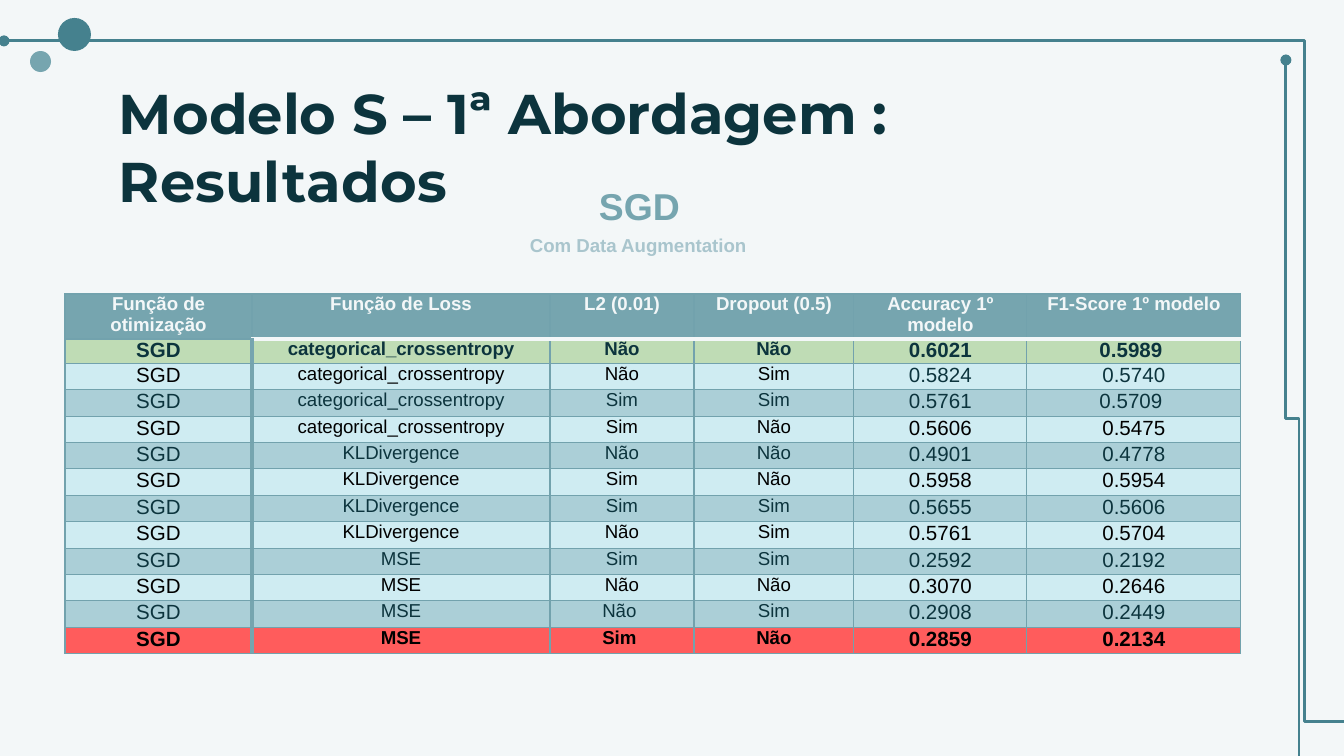
"""Build the results slide of model S trained with SGD and data augmentation."""
from dataclasses import dataclass

from lxml import etree
from pptx import Presentation
from pptx.dml.color import RGBColor
from pptx.enum.shapes import MSO_CONNECTOR, MSO_SHAPE
from pptx.enum.text import PP_ALIGN
from pptx.oxml.ns import qn
from pptx.util import Emu, Pt

ELBOW = MSO_CONNECTOR.ELBOW
OVAL = MSO_SHAPE.OVAL
CENTER = PP_ALIGN.CENTER
EMU_PER_PX = 914400 / 134.4

HEADERS = ["Função de otimização", "Função de Loss", "L2 (0.01)",
           "Dropout (0.5)", "Accuracy 1º modelo", "F1-Score 1º modelo"]
RESULTS = [
    ("categorical_crossentropy", "Não", "Não", "0.6021", "0.5989 "),
    ("categorical_crossentropy", "Não", "Sim", "0.5824", "0.5740"),
    ("categorical_crossentropy", "Sim", "Sim", "0.5761", "0.5709 "),
    ("categorical_crossentropy", "Sim", "Não", "0.5606", "0.5475"),
    ("KLDivergence", "Não", "Não", "0.4901", "0.4778"),
    ("KLDivergence", "Sim", "Não", "0.5958", "0.5954"),
    ("KLDivergence", "Sim", "Sim", "0.5655", "0.5606"),
    ("KLDivergence", "Não", "Sim", "0.5761", "0.5704"),
    ("MSE", "Sim", "Sim", "0.2592", "0.2192"),
    ("MSE", "Não", "Não", "0.3070", "0.2646"),
    ("MSE", "Não ", "Sim", "0.2908", "0.2449"),
    ("MSE", "Sim ", "Não", "0.2859", "0.2134"),
]
COLUMN_WIDTHS = [187, 298, 144, 160, 173, 214]
HEADER_HEIGHT, BEST_HEIGHT, BODY_HEIGHT = 45, 24, 290
VALUE_COLUMNS = (4, 5)


@dataclass(frozen=True)
class Theme:
    background: str = "F3F7F8"
    dark: str = "0C343D"
    line: str = "45818E"
    accent: str = "76A5AF"
    muted: str = "A9C5CD"
    border: str = "72A2AD"
    light_row: str = "CFECF2"
    dark_row: str = "ABCFD7"
    best: str = "BFDCB5"
    worst: str = "FF5C5C"
    black: str = "000000"
    heading_font: str = "Montserrat"
    body_font: str = "Arial"
    title_size: int = 30
    subtitle_size: int = 20
    value_size: int = 11
    label_size: int = 10


def px(length):
    return Emu(round(length * EMU_PER_PX))


def rgb(color):
    return RGBColor.from_string(color)


class SlideBuilder:
    def __init__(self, presentation, theme):
        self.theme = theme
        self.slide = presentation.slides.add_slide(presentation.slide_layouts[6])
        fill = self.slide.background.fill
        fill.solid()
        fill.fore_color.rgb = rgb(theme.background)

    def style(self, paragraph, size, color, bold=True, font=None):
        paragraph.font.name = font or self.theme.body_font
        paragraph.font.size = Pt(size)
        paragraph.font.bold = bold
        paragraph.font.color.rgb = rgb(color)

    def dot(self, left, top, diameter, color):
        shape = self.slide.shapes.add_shape(
            OVAL, px(left), px(top), px(diameter), px(diameter))
        shape.shadow.inherit = False
        shape.fill.solid()
        shape.fill.fore_color.rgb = rgb(color)
        shape.line.fill.background()

    def elbow(self, start, end, bend, vertical=False):
        points = [start, end]
        if vertical:
            middle_x = (start[0] + end[0]) / 2
            middle_y = (start[1] + end[1]) / 2
            points = [(middle_x + y - middle_y, middle_y - x + middle_x)
                      for x, y in points]
        connector = self.slide.shapes.add_connector(
            ELBOW, *(px(value) for point in points for value in point))
        connector.line.color.rgb = rgb(self.theme.line)
        connector.line.width = Pt(1.5)
        properties = connector._element.spPr
        if vertical:
            properties.find(qn("a:xfrm")).set("rot", "5400000")
        adjustments = properties.find(qn("a:prstGeom")).get_or_add_avLst()
        etree.SubElement(adjustments, qn("a:gd"), name="adj1", fmla=f"val {bend}")
        etree.SubElement(properties.find(qn("a:ln")), qn("a:tailEnd"), type="oval")
        etree.SubElement(properties, qn("a:effectLst"))

    def text(self, box, content, size, color, font=None, inset=7):
        shape = self.slide.shapes.add_textbox(*map(px, box))
        frame = shape.text_frame
        frame.word_wrap = True
        frame.margin_left = frame.margin_right = px(13)
        frame.margin_top = frame.margin_bottom = px(inset)
        frame.text = content
        self.style(frame.paragraphs[0], size, color, font=font)

    def border(self, cell, side, color, width):
        line = etree.SubElement(cell._tc.get_or_add_tcPr(), qn(f"a:ln{side}"),
                                w=str(Pt(width)))
        fill = etree.SubElement(line, qn("a:solidFill"))
        etree.SubElement(fill, qn("a:srgbClr"), val=color)

    def cell(self, cell, content, fill, size, color, bold, heavy):
        for side in "LRTB":
            line_color, width = heavy.get(side, (self.theme.border, 0.75))
            self.border(cell, side, line_color, width)
        cell.fill.solid()
        cell.fill.fore_color.rgb = rgb(fill)
        cell.margin_left = cell.margin_right = px(9)
        cell.margin_top = cell.margin_bottom = 0
        cell.text = content
        paragraph = cell.text_frame.paragraphs[0]
        paragraph.alignment = CENTER
        self.style(paragraph, size, color, bold)

    def row_style(self, row, last):
        theme = self.theme
        if row == 0:
            return theme.accent, theme.background, True
        if row == 1:
            return theme.best, theme.dark, True
        if row == last:
            return theme.worst, theme.black, True
        if row % 2:
            return theme.dark_row, theme.dark, False
        return theme.light_row, theme.black, False

    def results_table(self, left, top):
        theme = self.theme
        rows = [HEADERS] + [("SGD", *result) for result in RESULTS]
        last = len(rows) - 1
        edges = [round(i * BODY_HEIGHT / (last - 1)) for i in range(last)]
        heights = [HEADER_HEIGHT, BEST_HEIGHT]
        heights += [end - start for start, end in zip(edges, edges[1:])]
        table = self.slide.shapes.add_table(
            len(rows), len(HEADERS), px(left), px(top),
            px(sum(COLUMN_WIDTHS)), px(sum(heights))).table
        table.horz_banding = False
        for column, width in zip(table.columns, COLUMN_WIDTHS):
            column.width = px(width)
        for row, (values, height) in enumerate(zip(rows, heights)):
            table.rows[row].height = px(height)
            fill, row_color, bold = self.row_style(row, last)
            for column, value in enumerate(values):
                heavy = {}
                if row and column < 2:
                    heavy["LR"[column == 0]] = (theme.accent, 2)
                if row < 2 and column:
                    heavy["BT"[row]] = (theme.background, 2)
                large = row and (column == 0 or column in VALUE_COLUMNS)
                size = theme.value_size if large else theme.label_size
                color = theme.dark if row == 2 and column in VALUE_COLUMNS else row_color
                self.cell(table.cell(row, column), value, fill, size, color, bold, heavy)


def main():
    theme = Theme()
    presentation = Presentation()
    presentation.slide_width, presentation.slide_height = px(1344), px(756)
    builder = SlideBuilder(presentation, theme)
    builder.dot(30, 51, 21, theme.accent)
    builder.dot(58, 18, 33, theme.line)
    builder.elbow((1349, 722), (4, 41), 3300)
    builder.elbow((1299, 777), (1286, 60), 50000, vertical=True)
    builder.text((106, 66, 1133, 85), "Modelo S – 1ª Abordagem : Resultados",
                 theme.title_size, theme.dark, theme.heading_font, inset=13)
    builder.results_table(65, 294)
    builder.text((586, 176, 145, 59), "SGD", theme.subtitle_size, theme.accent)
    builder.text((517, 227, 247, 36), "Com Data Augmentation",
                 theme.label_size, theme.muted)
    presentation.save("out.pptx")


if __name__ == "__main__":
    main()
